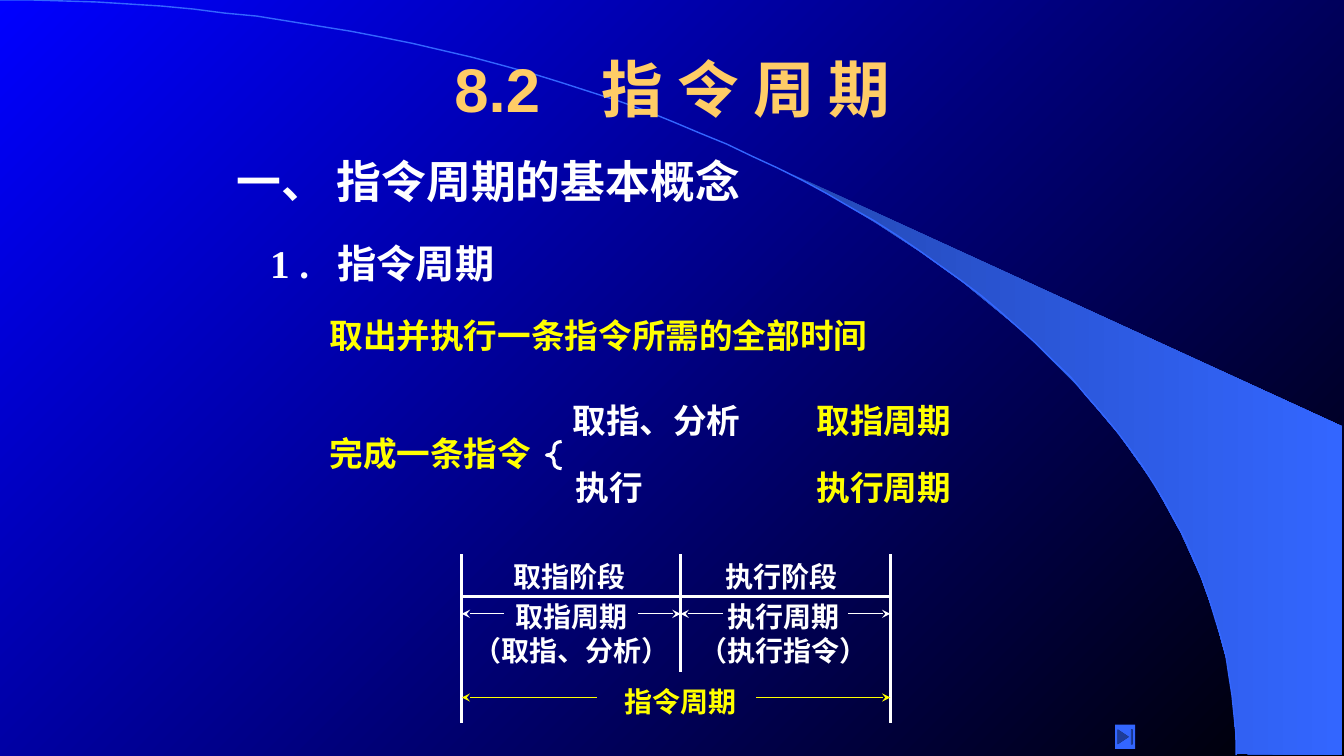
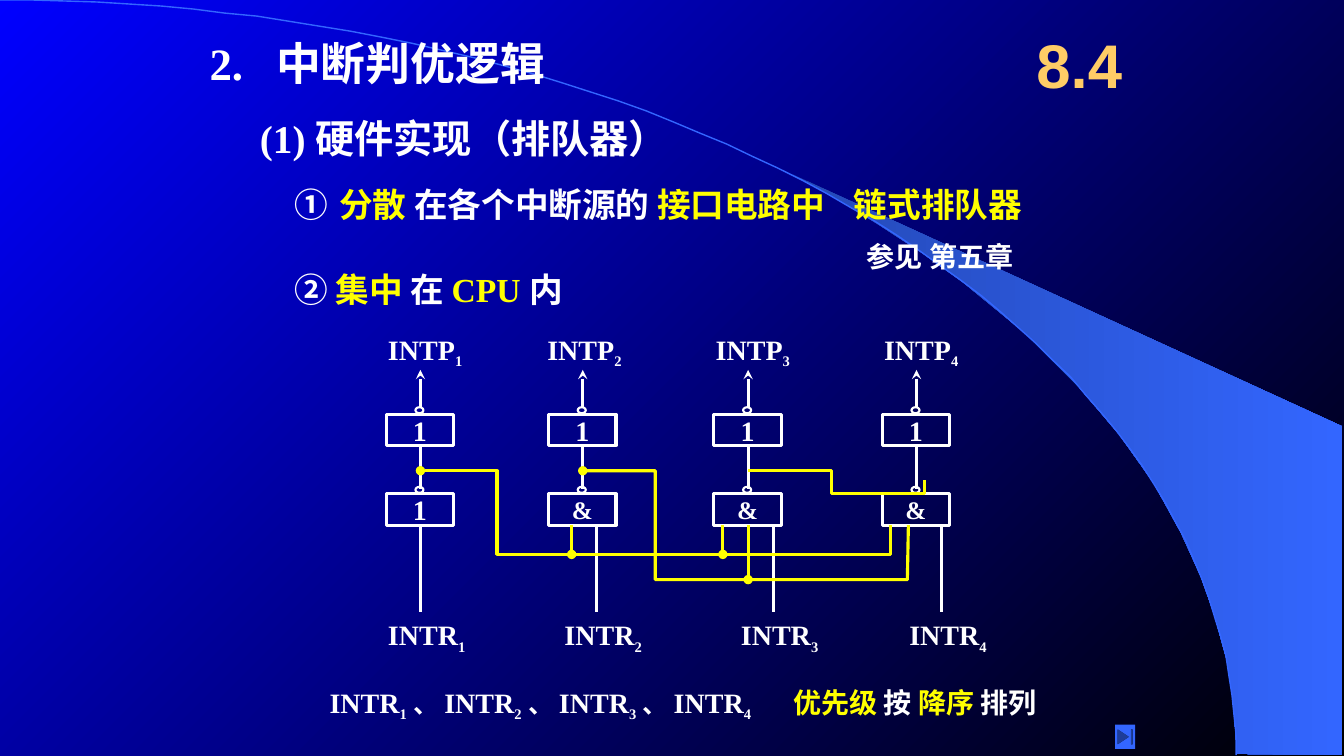
from dataclasses import dataclass
from math import cos, pi, sin
from typing import Optional

from lxml.etree import SubElement
from pptx import Presentation
from pptx.dml.color import RGBColor
from pptx.enum.shapes import MSO_CONNECTOR, MSO_SHAPE
from pptx.enum.text import MSO_ANCHOR, MSO_AUTO_SIZE, PP_ALIGN
from pptx.oxml.ns import qn
from pptx.util import Pt

PX = 9144  # EMU per px, 100 px to the inch
WIDTH, HEIGHT = 1333, 750

WHITE = RGBColor(0xFF, 0xFF, 0xFF)
YELLOW = RGBColor(0xFF, 0xFF, 0x00)
GOLD = RGBColor(0xFF, 0xCC, 0x66)
BLUE = RGBColor(0x00, 0x00, 0xFF)
BLACK = RGBColor(0x00, 0x00, 0x00)
SWEEP_DARK = RGBColor(0x24, 0x49, 0xB6)
SWEEP = RGBColor(0x33, 0x66, 0xFF)

TITLE_FONT, BODY_FONT = "Arial", "Times New Roman"

SWEEP_OUTLINE = [
    (1227, 748), (1331, 749), (1331, 423), (786, 173), (832, 199), (870, 222),
    (913, 250), (955, 280), (1016, 330), (1070, 384), (1110, 431), (1144, 479),
    (1171, 528), (1191, 572), (1204, 609), (1217, 656), (1223, 696),
]


@dataclass
class Run:
    text: str
    color: Optional[RGBColor] = None
    size: Optional[int] = None
    sub: bool = False


def indexed(name, number):
    return [Run(name), Run(str(number), size=18, sub=True)]


def set_gradient(fill, start, end, angle):
    fill.gradient()
    fill.gradient_angle = angle
    for stop, color, position in zip(fill.gradient_stops, (start, end), (0, 1)):
        stop.color.rgb = color
        stop.position = position


class Deck:
    def __init__(self):
        self.prs = Presentation()
        self.prs.slide_width, self.prs.slide_height = WIDTH * PX, HEIGHT * PX
        self.s = None
        set_gradient(self.prs.slide_master.background.fill, BLUE, BLACK, 315)

    def slide(self, title, box):
        first = self.s is None
        self.s = self.prs.slides.add_slide(self.prs.slide_layouts[5])
        if first:
            self.backdrop()
        sp = self.s.shapes.title
        sp.left, sp.top, sp.width, sp.height = (v * PX for v in box)
        tf = sp.text_frame
        tf.text = title
        tf.word_wrap = True
        tf.auto_size = MSO_AUTO_SIZE.NONE
        tf.vertical_anchor = MSO_ANCHOR.MIDDLE
        p = tf.paragraphs[0]
        p.alignment = PP_ALIGN.CENTER
        self.style(p.runs[0], 44, GOLD, TITLE_FONT)
        button = self.shape(MSO_SHAPE.ACTION_BUTTON_END, 1106, 719, 20, 24, None)
        button.fill.solid()
        button.fill.fore_color.rgb = SWEEP

    def backdrop(self):
        """Draw the sweep and its arc, then move them to the slide master."""
        sweep = self.freeform(SWEEP_OUTLINE, close=True)
        set_gradient(sweep.fill, SWEEP_DARK, SWEEP, 0)
        sweep.line.fill.background()
        steps = 60
        angles = [i * pi / 2 / steps for i in range(steps + 1)]
        arc = self.line([(1226 * sin(a), 749 - 749 * cos(a)) for a in angles],
                        SWEEP, 1)
        tree = self.prs.slide_master.shapes.element
        for i, sp in enumerate((sweep, arc)):
            sp.element.nvSpPr.cNvPr.set("id", str(100 + i))
            tree.insert(2 + i, sp.element)

    def style(self, r, size, color, name=BODY_FONT):
        r.font.name = name
        r.font.size = Pt(size)
        r.font.bold = True
        r.font.color.rgb = color

    def text(self, x, y, w, h, content, size, color=WHITE, tab=None,
             anchor=MSO_ANCHOR.TOP):
        """Add a text box; content is a string or a list of Run."""
        tf = self.s.shapes.add_textbox(x * PX, y * PX, w * PX, h * PX).text_frame
        tf.word_wrap = True
        tf.vertical_anchor = anchor
        p = tf.paragraphs[0]
        if tab:
            tabs = SubElement(p._p.get_or_add_pPr(), qn("a:tabLst"))
            SubElement(tabs, qn("a:tab"), pos=str(tab * PX), algn="l")
        runs = [Run(content)] if isinstance(content, str) else content
        for run in runs:
            r = p.add_run()
            r.text = run.text
            self.style(r, run.size or size, run.color or color)
            if run.sub:
                r._r.get_or_add_rPr().set("baseline", "-25000")
        return tf

    def label(self, center, y, content, color=WHITE):
        tf = self.text(center - 109, y, 218, 44, content, 20, color)
        tf.word_wrap = False
        tf.paragraphs[0].alignment = PP_ALIGN.CENTER

    def shape(self, kind, x, y, w, h, weight=2.25):
        sp = self.s.shapes.add_shape(kind, x * PX, y * PX, w * PX, h * PX)
        sp.shadow.inherit = False
        sp.fill.background()
        if weight:
            sp.line.color.rgb = WHITE
            sp.line.width = Pt(weight)
        else:
            sp.line.fill.background()
        return sp

    def gate(self, x, y, symbol, size):
        """Add a logic gate with its inverter bubble, centred on x."""
        sp = self.shape(MSO_SHAPE.RECTANGLE, x - 34, y, 67, 31)
        tf = sp.text_frame
        tf.margin_left = tf.margin_right = tf.margin_top = tf.margin_bottom = 0
        tf.vertical_anchor = MSO_ANCHOR.MIDDLE
        tf.text = symbol
        p = tf.paragraphs[0]
        p.alignment = PP_ALIGN.CENTER
        self.style(p.runs[0], size, WHITE)
        self.shape(MSO_SHAPE.OVAL, x - 5, y - 7, 8, 6, 1.5)

    def freeform(self, points, close):
        builder = self.s.shapes.build_freeform(*points[0], scale=float(PX))
        builder.add_line_segments(points[1:], close=close)
        sp = builder.convert_to_shape()
        sp.shadow.inherit = False
        return sp

    def line(self, points, color=WHITE, weight=2.25, head=None, tail=None):
        """Add a connector for two points, an open outline for more."""
        if len(points) == 2:
            ends = [v * PX for point in points for v in point]
            sp = self.s.shapes.add_connector(MSO_CONNECTOR.STRAIGHT, *ends)
            SubElement(sp.element.spPr, qn("a:effectLst"))
        else:
            sp = self.freeform(points, close=False)
            sp.fill.background()
        sp.line.color.rgb = color
        sp.line.width = Pt(weight)
        ln = sp.line._get_or_add_ln()
        for tag, kind in (("a:headEnd", head), ("a:tailEnd", tail)):
            if kind:
                SubElement(ln, qn(tag), type=kind)
        return sp


def instruction_cycle(deck):
    deck.slide("8.2　指 令 周 期", (242, 25, 850, 125))
    deck.text(225, 148, 625, 63, "一、 指令周期的基本概念", 32)
    deck.text(258, 233, 625, 57, "1 .\t指令周期", 28, tab=67)
    deck.text(317, 308, 625, 50, "取出并执行一条指令所需的全部时间", 24, YELLOW)
    deck.text(317, 425, 300, 50, "完成一条指令", 24, YELLOW)
    brace = deck.shape(MSO_SHAPE.LEFT_BRACE, 542, 438, 15, 27)
    brace.adjustments[0] = 0.35
    for x, y, step, cycle in ((558, 392, "取指、分析", "取指周期"),
                              (561, 458, "执行", "执行周期")):
        deck.text(x, y, 217, 50, step, 24)
        deck.text(800, y, 200, 50, cycle, 24, YELLOW)

    left, middle, right = 458, 675, 883
    deck.line([(left, 592), (right, 592)])
    for x, bottom in ((left, 717), (middle, 667), (right, 717)):
        deck.line([(x, 550), (x, bottom)])
    phases = (
        (left, middle, 565, "取指阶段", "取指周期", "（取指、分析）"),
        (middle, right, 775, "执行阶段", "执行周期", "（执行指令）"),
    )
    for start, end, center, phase, cycle, detail in phases:
        deck.label(center, 550, phase)
        deck.label(center + 2, 590, cycle)
        deck.label(center + 2, 624, detail)
        deck.line([(start + 42, 609), (start, 609)], weight=0.75, tail="stealth")
        deck.line([(end - 42, 609), (end, 609)], weight=0.75, tail="stealth")
    deck.label(675, 674, "指令周期", YELLOW)
    for inner, outer in ((592, left), (750, right)):
        deck.line([(inner, 692), (outer, 692)], YELLOW, 0.75, tail="stealth")


def interrupt_priority(deck):
    deck.slide("8.4", (1008, 17, 125, 92))
    headings = (
        (198, 33, 32, 66, "2.\t中断判优逻辑"),
        (248, 108, 28, None, "(1) 硬件实现（排队器）"),
        (282, 167, 24, 555, [
            Run("①"), Run(" ", size=36), Run("分散 ", YELLOW),
            Run("在各个中断源的 "), Run("接口电路中\t链式排队器", YELLOW)]),
        (282, 258, 24, None, [
            Run("② "), Run("集中 ", YELLOW), Run("在 "), Run("CPU ", YELLOW),
            Run("内")]),
    )
    for x, y, size, tab, content in headings:
        deck.text(x, y, 825, 58, content, size, tab=tab, anchor=MSO_ANCHOR.MIDDLE)
    deck.text(850, 233, 258, 43, "参见 第五章", 20)

    # gate centre, INTP label, INTR label, lower gate symbol and size
    columns = ((417, 375, 375, "1", 20), (578, 533, 550, "&", 18),
               (742, 700, 725, "&", 18), (909, 867, 892, "&", 18))
    for n, (x, intp, intr, symbol, size) in enumerate(columns, 1):
        deck.gate(x, 411, "1", 20)
        deck.gate(x, 490, symbol, size)
        deck.line([(x, 441), (x, 485)])
        deck.line([(x, 405), (x, 367)], tail="stealth")
        deck.line([(intr + 42, 521), (intr + 42, 607)])
        deck.text(intp, 325, 117, 43, indexed("INTP", n), 20)
        deck.text(intr, 608, 167, 43, indexed("INTR", n), 20)

    deck.line([(417, 467), (493, 467), (493, 550), (883, 550), (883, 521)],
              YELLOW, head="oval")
    deck.line([(578, 467), (650, 467), (650, 575), (900, 575), (901, 521)],
              YELLOW, head="oval")
    deck.line([(742, 467), (825, 467), (825, 490), (917, 490), (917, 476)], YELLOW)
    for x, bottom in ((567, 550), (717, 550), (742, 575)):
        deck.line([(x, 521), (x, bottom)], YELLOW, tail="oval")

    order = indexed("INTR", 1)
    for n in range(2, 5):
        order += [Run(" 、 ", size=18), *indexed("INTR", n)]
    order += [Run("\t优先级 ", YELLOW), Run("按 "), Run("降序 ", YELLOW), Run("排列")]
    deck.text(317, 675, 775, 43, order, 20, tab=460)


def main():
    deck = Deck()
    instruction_cycle(deck)
    interrupt_priority(deck)
    deck.prs.save("out.pptx")


if __name__ == "__main__":
    main()
